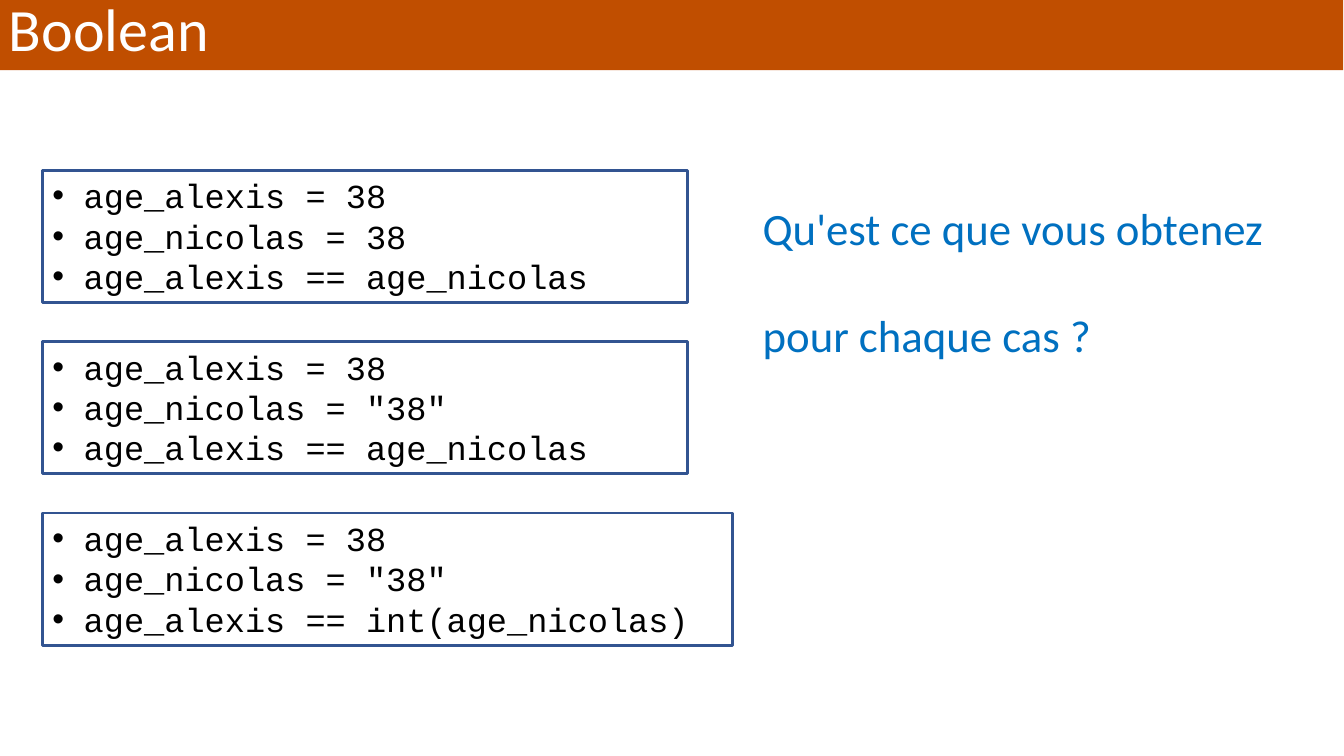
from lxml.etree import SubElement
from pptx import Presentation
from pptx.dml.color import RGBColor
from pptx.enum.shapes import MSO_SHAPE
from pptx.enum.text import MSO_ANCHOR, MSO_AUTO_SIZE, PP_ALIGN
from pptx.oxml.ns import qn
from pptx.util import Cm, Pt

TITLE = "Boolean"
CASES = [
    (16.26, ["age_alexis = 38", "age_nicolas = 38", "age_alexis == age_nicolas"]),
    (16.26, ["age_alexis = 38", 'age_nicolas = "38"', "age_alexis == age_nicolas"]),
    (17.4, ["age_alexis = 38", 'age_nicolas = "38"', "age_alexis == int(age_nicolas)"]),
]
QUESTION = ["Qu'est ce que vous obtenez", "pour chaque cas ?"]

ORANGE = RGBColor(0xC0, 0x4E, 0x00)
NAVY = RGBColor(0x32, 0x54, 0x91)
BLUE = RGBColor(0x00, 0x70, 0xC0)
BLACK = RGBColor(0x00, 0x00, 0x00)
WHITE = RGBColor(0xFF, 0xFF, 0xFF)

TITLE_FONT = {"name": "Calibri", "size": Pt(42.9), "color": WHITE}
CODE_FONT = {"name": "Courier New", "size": Pt(24), "color": BLACK}
QUESTION_FONT = {"name": "Calibri", "size": Pt(32), "color": BLUE}

CASE_LEFT, CASE_TOP, CASE_HEIGHT, CASE_PITCH = 1.07, 4.29, 3.33, 4.32
INDENT = Cm(0.79)


def set_font(font, values):
    for key, value in values.items():
        if key == "color":
            font.color.rgb = value
        else:
            setattr(font, key, value)


def add_bullet(p):
    pPr = p._p.get_or_add_pPr()
    pPr.set("marL", str(INDENT))
    pPr.set("indent", str(-INDENT))
    SubElement(pPr, qn("a:buFont"), typeface="Arial")
    SubElement(pPr, qn("a:buChar"), char="•")


def write_lines(tf, lines, font, line_spacing=None, gap=None, bullets=False):
    tf.word_wrap = True
    for i, line in enumerate(lines):
        p = tf.add_paragraph() if i else tf.paragraphs[0]
        p.alignment = PP_ALIGN.LEFT
        if line_spacing:
            p.line_spacing = line_spacing
        if i and gap:
            p.space_before = gap
        if bullets:
            add_bullet(p)
        r = p.add_run()
        r.text = line
        set_font(r.font, font)


def add_title(s):
    sp = s.shapes.title
    sp.left, sp.top, sp.width, sp.height = Cm(-0.03), Cm(-0.03), Cm(33.88), Cm(1.8)
    sp.fill.solid()
    sp.fill.fore_color.rgb = ORANGE
    tf = sp.text_frame
    tf.auto_size = MSO_AUTO_SIZE.NONE
    tf.vertical_anchor = MSO_ANCHOR.MIDDLE
    write_lines(tf, [TITLE], TITLE_FONT, line_spacing=0.8)


def add_case(s, row, width, lines):
    sp = s.shapes.add_shape(
        MSO_SHAPE.RECTANGLE, Cm(CASE_LEFT), Cm(CASE_TOP + row * CASE_PITCH),
        Cm(width), Cm(CASE_HEIGHT))
    sp.shadow.inherit = False
    sp.fill.background()
    sp.line.color.rgb = NAVY
    sp.line.width = Pt(2)
    tf = sp.text_frame
    tf.vertical_anchor = MSO_ANCHOR.TOP
    write_lines(tf, lines, CODE_FONT, line_spacing=Pt(28.8), bullets=True)


def main():
    prs = Presentation()
    prs.slide_width, prs.slide_height = Cm(33.87), Cm(19.05)
    s = prs.slides.add_slide(prs.slide_layouts[5])
    add_title(s)
    for row, (width, lines) in enumerate(CASES):
        add_case(s, row, width, lines)
    question = s.shapes.add_textbox(Cm(18.97), Cm(4.93), Cm(13.34), Cm(3))
    write_lines(question.text_frame, QUESTION, QUESTION_FONT, gap=Pt(38))
    prs.save("out.pptx")


if __name__ == "__main__":
    main()
